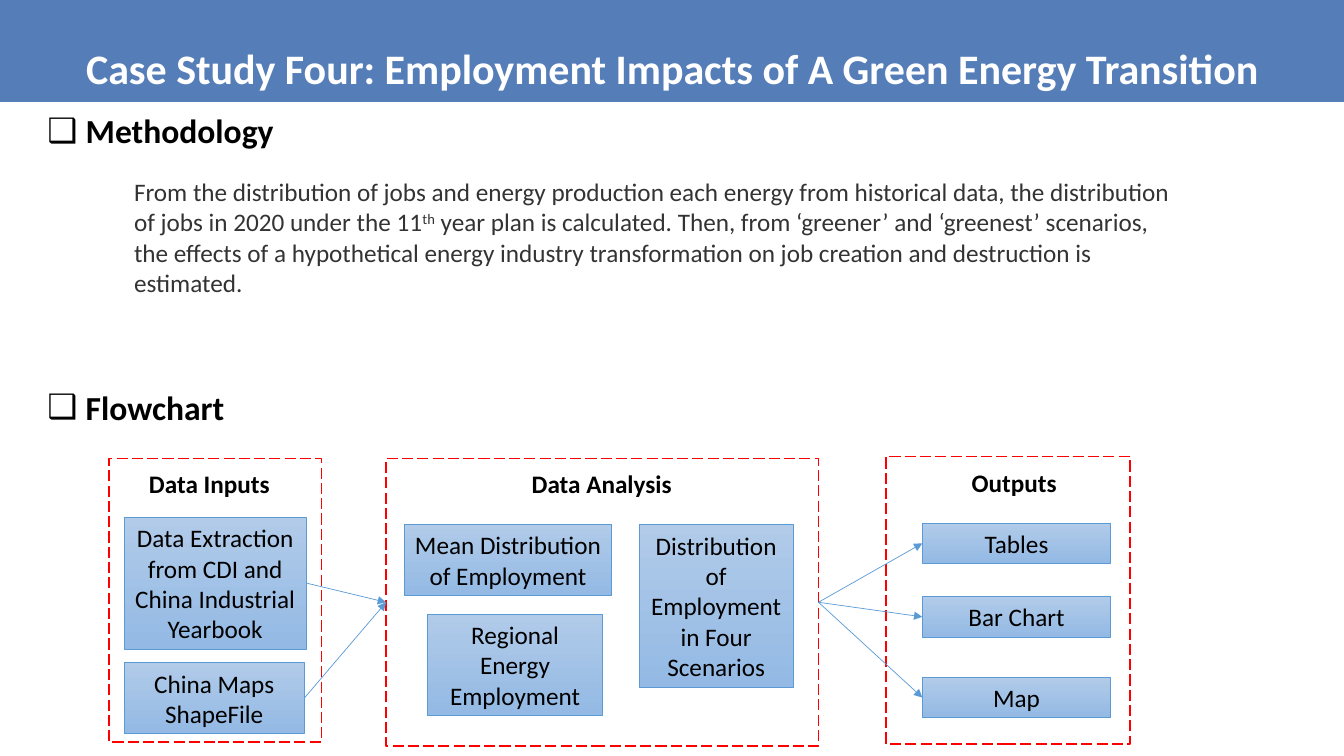
from lxml import etree
from pptx import Presentation
from pptx.dml.color import RGBColor
from pptx.enum.dml import MSO_LINE
from pptx.enum.shapes import MSO_CONNECTOR, MSO_SHAPE
from pptx.enum.text import MSO_ANCHOR, MSO_AUTO_SIZE, PP_ALIGN
from pptx.oxml.ns import qn
from pptx.util import Inches, Pt

RECTANGLE = MSO_SHAPE.RECTANGLE
STRAIGHT = MSO_CONNECTOR.STRAIGHT
LONG_DASH = MSO_LINE.LONG_DASH
LEFT, CENTER = PP_ALIGN.LEFT, PP_ALIGN.CENTER
TOP, MIDDLE, BOTTOM = MSO_ANCHOR.TOP, MSO_ANCHOR.MIDDLE, MSO_ANCHOR.BOTTOM
NO_AUTOFIT = MSO_AUTO_SIZE.NONE

COMPARISON_LAYOUT = 4
COLUMNS, ROWS = 133.33, 75
CELL = Inches(0.1)
LEFT_SIDE, RIGHT_SIDE = 1, 3
FONT = "Calibri"
COLORS = {
    "band": "557DB8",
    "white": "FFFFFF",
    "black": "000000",
    "body": "333333",
    "step_top": "B1CBE9",
    "step_bottom": "93B9E4",
    "step_line": "5B9BD5",
    "stage": "FF0000",
}

STAGES = {
    "Data Inputs": ((10.8, 45.5, 21.1, 28.1), (13.8, 46, 15.4, 4), LEFT),
    "Data Analysis": ((38.3, 45.5, 42.9, 28.5), (49.8, 46, 19.8, 4), CENTER),
    "Outputs": ((87.9, 45.3, 24.2, 28.5), (95.4, 45.9, 10.9, 4), LEFT),
}
INPUTS = {
    "Data Extraction from CDI and China Industrial Yearbook": (12.3, 51.3, 18.1, 13.1),
    "China Maps ShapeFile": (12.3, 65.7, 17.9, 7.1),
}
ANALYSES = {
    "Mean Distribution of Employment": (40.1, 52, 20.6, 7.1),
    "Regional Energy Employment": (42.4, 60.9, 17.4, 10.1),
    "Distribution of Employment in Four Scenarios": (63.4, 52, 15.3, 16.2),
}
OUTPUTS = {
    "Tables": (91.5, 51.9, 18.7, 4),
    "Bar Chart": (91.5, 59.2, 18.7, 4),
    "Map": (91.5, 67.2, 18.7, 4),
}
METHOD = (
    "From the distribution of jobs and energy production each energy from "
    "historical data, the distribution of jobs in 2020 under the 11",
    "th",
    " year plan is calculated. Then, from ‘greener’ and ‘greenest’ scenarios, "
    "the effects of a hypothetical energy industry transformation on job "
    "creation and destruction is estimated.",
)


def rgb(name):
    """Return a named colour of the palette."""
    return RGBColor.from_string(COLORS[name])


def cells(area):
    """Convert grid columns and rows to lengths."""
    return [int(share * CELL) for share in area]


def move(placeholder, area):
    """Put a placeholder on a grid area."""
    (placeholder.left, placeholder.top,
     placeholder.width, placeholder.height) = cells(area)


def format_text(shape, size, color, bold=False, align=LEFT, anchor=TOP):
    """Format the only paragraph of a shape and return it."""
    frame = shape.text_frame
    frame.word_wrap = True
    frame.auto_size = NO_AUTOFIT
    frame.vertical_anchor = anchor
    paragraph = frame.paragraphs[0]
    paragraph.alignment = align
    for run in paragraph.runs:
        run.font.name = FONT
        run.font.size = Pt(size)
        run.font.bold = bold
        run.font.color.rgb = rgb(color)
    return paragraph


def add_band(slide):
    """Draw the title band behind everything else."""
    band = slide.shapes.add_shape(RECTANGLE, *cells((0, 0, COLUMNS, 10.1)))
    band.shadow.inherit = False
    band.fill.solid()
    band.fill.fore_color.rgb = rgb("band")
    band.line.fill.background()
    slide.shapes._spTree.insert(2, band._element)


def fill_title(title, text):
    """Write the slide title."""
    move(title, (0.1, 1.4, COLUMNS, 8.4))
    title.text_frame.text = text
    format_text(title, 30, "white", True, CENTER, BOTTOM).line_spacing = 0.9


def fill_heading(heading, text, area):
    """Write a section heading with a box bullet."""
    move(heading, area)
    heading.text_frame.text = text
    paragraph = format_text(heading, 24, "black", True)
    paragraph.line_spacing = 0.9
    paragraph.space_before = Pt(10)
    properties = paragraph._p.get_or_add_pPr()
    properties.set("marL", str(Inches(0.38)))
    properties.set("indent", str(Inches(-0.38)))
    etree.SubElement(properties, qn("a:buChar")).set("char", "❑")


def fill_method(body):
    """Write the methodology text with its raised ordinal."""
    move(body, (12.3, 17, 105.8, 13.1))
    paragraph = body.text_frame.paragraphs[0]
    for part in METHOD:
        paragraph.add_run().text = part
    format_text(body, 18, "body")
    paragraph.space_before = Pt(0)
    paragraph.runs[1].font._element.set("baseline", "30000")
    properties = paragraph._p.get_or_add_pPr()
    properties.set("marL", "0")
    properties.set("indent", "0")
    etree.SubElement(properties, qn("a:buNone"))


def add_stage(slide, name, frame_area, label_area, align):
    """Draw a dashed stage frame with its label and return the frame."""
    stage = slide.shapes.add_shape(RECTANGLE, *cells(frame_area))
    stage.shadow.inherit = False
    stage.fill.background()
    stage.line.color.rgb = rgb("stage")
    stage.line.width = Pt(1)
    stage.line.dash_style = LONG_DASH
    label = slide.shapes.add_textbox(*cells(label_area))
    label.text_frame.text = name
    format_text(label, 18, "black", True, align)
    return stage


def add_step(slide, name, area):
    """Draw a flowchart step and return it."""
    step = slide.shapes.add_shape(RECTANGLE, *cells(area))
    step.shadow.inherit = False
    step.fill.gradient()
    step.fill.gradient_angle = 270
    for stop, color in zip(step.fill.gradient_stops, ("step_top", "step_bottom")):
        stop.color.rgb = rgb(color)
    step.line.color.rgb = rgb("step_line")
    step.line.width = Pt(0.5)
    step.text_frame.text = name
    format_text(step, 18, "black", align=CENTER, anchor=MIDDLE)
    return step


def add_arrow(slide, source, target):
    """Join the right side of one box to the left side of another."""
    arrow = slide.shapes.add_connector(STRAIGHT, 0, 0, 0, 0)
    arrow.begin_connect(source, RIGHT_SIDE)
    arrow.end_connect(target, LEFT_SIDE)
    arrow.line.color.rgb = rgb("step_line")
    arrow.line.width = Pt(0.5)
    outline = arrow.line._get_or_add_ln()
    etree.SubElement(outline, qn("a:tailEnd")).set("type", "triangle")
    etree.SubElement(arrow._element.spPr, qn("a:effectLst"))


def add_flowchart(slide):
    """Draw the stages, their steps and the arrows."""
    stages = {name: add_stage(slide, name, *layout) for name, layout in STAGES.items()}
    inputs, _, outputs = [
        [add_step(slide, name, area) for name, area in group.items()]
        for group in (INPUTS, ANALYSES, OUTPUTS)
    ]
    analysis = stages["Data Analysis"]
    for step in inputs:
        add_arrow(slide, step, analysis)
    for step in outputs:
        add_arrow(slide, analysis, step)


def main():
    """Build and save the slide."""
    deck = Presentation()
    deck.slide_width, deck.slide_height = cells((COLUMNS, ROWS))
    slide = deck.slides.add_slide(deck.slide_layouts[COMPARISON_LAYOUT])
    title, methodology, method, flowchart, spare = slide.placeholders
    spare._element.getparent().remove(spare._element)
    add_band(slide)
    fill_title(title, "Case Study Four: Employment Impacts of A Green Energy Transition")
    fill_heading(methodology, "Methodology", (3.7, 10.9, 26.7, 5.6))
    fill_method(method)
    fill_heading(flowchart, "Flowchart", (3.7, 38.3, 117.1, 5.6))
    add_flowchart(slide)
    deck.save("out.pptx")


if __name__ == "__main__":
    main()
